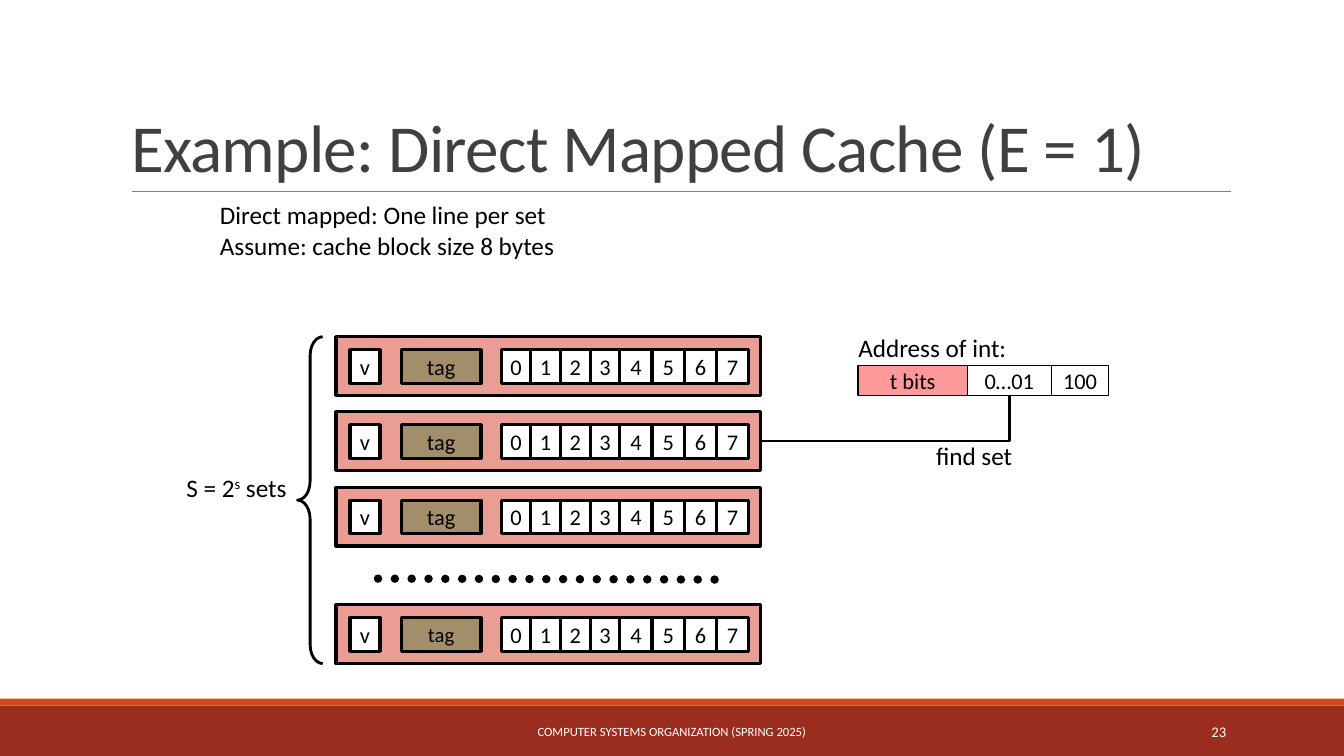
from dataclasses import dataclass

from lxml.etree import SubElement
from pptx import Presentation
from pptx.dml.color import RGBColor
from pptx.enum.dml import MSO_LINE
from pptx.enum.shapes import MSO_CONNECTOR, MSO_SHAPE
from pptx.enum.text import MSO_ANCHOR, MSO_AUTO_SIZE, PP_ALIGN
from pptx.oxml.ns import qn
from pptx.shapes.autoshape import Shape
from pptx.shapes.connector import Connector
from pptx.slide import Slide
from pptx.text.text import _Paragraph
from pptx.util import Pt

FONT = "Calibri"
COLOURS = {
    "black": "000000", "white": "FFFFFF", "title": "404040", "rule": "808080",
    "band": "9B2D1F", "stripe": "D34817", "line": "E99D93", "tag": "A28E6A",
    "address": "FF9999",
}
ROW_LEFT, ROW_WIDTH, ROW_HEIGHT = 240, 303, 42
ROW_TOPS = (240.5, 294, 348, 432)
CELL_INSET, CELL_HEIGHT = 9.25, 24
BYTES_LEFT, NARROW, WIDE = 358, 21.2, 23
ADDRESS_TOP, ADDRESS_HEIGHT = 261, 21.5


@dataclass(frozen=True)
class Cell:
    """A labelled box within a horizontal strip."""
    left: float
    width: float
    text: str
    fill: str = "white"


@dataclass(frozen=True)
class Label:
    """A free text label, holding paragraphs made of runs."""
    left: float
    top: float
    width: float
    height: float
    paragraphs: tuple[tuple[str, ...], ...]
    size: float = 18
    colour: str = "black"
    align: PP_ALIGN = PP_ALIGN.LEFT
    anchor: MSO_ANCHOR = MSO_ANCHOR.TOP
    wrap: bool = False


BYTES = tuple(
    Cell(BYTES_LEFT + min(i, 4) * NARROW + max(i - 4, 0) * WIDE,
         NARROW if i < 4 else WIDE, str(i))
    for i in range(8)
)
CACHE_CELLS = (Cell(250, 21.5, "v"), Cell(286.6, 57, "tag", "tag"), *BYTES)
ADDRESS_CELLS = (
    Cell(613, 78, "t bits", "address"),
    Cell(691, 60, "0…01"),
    Cell(751, 41, "100"),
)
LABELS = (
    Label(126, 333.5, 88.5, 29, (("S = 2", "s", " sets"),)),
    Label(150, 139, 260, 51, (("Direct mapped: One line per set",),
                              ("Assume: cache block size 8 bytes",))),
    Label(606, 234, 124, 29, (("Address of int:",),)),
    Label(661.5, 311, 70.5, 29, (("find set",),)),
    Label(290, 508.3, 379.5, 28.8, (("COMPUTER SYSTEMS ORGANIZATION (SPRING 2025)",),),
          9, "white", PP_ALIGN.CENTER, MSO_ANCHOR.MIDDLE, True),
    Label(780, 508.3, 103, 28.8, (("23",),),
          10.5, "white", PP_ALIGN.RIGHT, MSO_ANCHOR.MIDDLE, True),
)


def colour_of(name: str) -> RGBColor:
    """Look up a named colour."""
    return RGBColor.from_string(COLOURS[name])


def add_span(para: _Paragraph, text: str, size: float, colour: str = "black"):
    """Append a formatted run and return it."""
    span = para.add_run()
    span.text = text
    span.font.name = FONT
    span.font.size = Pt(size)
    span.font.color.rgb = colour_of(colour)
    return span


def add_box(page: Slide, left: float, top: float, width: float, height: float,
            fill: str | None, weight: float = 0,
            kind: MSO_SHAPE = MSO_SHAPE.RECTANGLE) -> Shape:
    """Draw a shape with an optional fill and black outline."""
    box = page.shapes.add_shape(kind, Pt(left), Pt(top), Pt(width), Pt(height))
    box.shadow.inherit = False
    if fill:
        box.fill.solid()
        box.fill.fore_color.rgb = colour_of(fill)
    else:
        box.fill.background()
    if weight:
        box.line.color.rgb = colour_of("black")
        box.line.width = Pt(weight)
    else:
        box.line.fill.background()
    return box


def add_cell(page: Slide, cell: Cell, top: float, height: float,
             weight: float, size: float = 16) -> None:
    """Draw a box with a centred label."""
    box = add_box(page, cell.left, top, cell.width, height, cell.fill, weight)
    frame = box.text_frame
    frame.word_wrap = False
    frame.vertical_anchor = MSO_ANCHOR.MIDDLE
    para = frame.paragraphs[0]
    para.alignment = PP_ALIGN.CENTER
    add_span(para, cell.text, size)


def add_label(page: Slide, label: Label) -> None:
    """Draw a label, raising any run that is the set exponent."""
    box = page.shapes.add_textbox(Pt(label.left), Pt(label.top),
                                  Pt(label.width), Pt(label.height))
    frame = box.text_frame
    frame.word_wrap = label.wrap
    frame.auto_size = MSO_AUTO_SIZE.NONE if label.wrap else MSO_AUTO_SIZE.SHAPE_TO_FIT_TEXT
    frame.vertical_anchor = label.anchor
    for index, texts in enumerate(label.paragraphs):
        para = frame.add_paragraph() if index else frame.paragraphs[0]
        para.alignment = label.align
        for text in texts:
            span = add_span(para, text, label.size, label.colour)
            if text == "s":
                span.font._element.set("baseline", "30000")


def add_line(page: Slide, start: tuple[float, float], end: tuple[float, float],
             colour: str, weight: float,
             kind: MSO_CONNECTOR = MSO_CONNECTOR.STRAIGHT) -> Connector:
    """Draw a connector without a shadow."""
    line = page.shapes.add_connector(kind, *(Pt(value) for value in start + end))
    line.line.color.rgb = colour_of(colour)
    line.line.width = Pt(weight)
    SubElement(line._element.spPr, qn("a:effectLst"))
    return line


def add_title(page: Slide) -> None:
    """Place and format the title."""
    title = page.shapes.title
    title.left, title.top, title.width, title.height = Pt(86.4), Pt(22.5), Pt(792), Pt(114.3)
    frame = title.text_frame
    frame.word_wrap = True
    frame.auto_size = MSO_AUTO_SIZE.NONE
    frame.vertical_anchor = MSO_ANCHOR.BOTTOM
    para = frame.paragraphs[0]
    para.alignment = PP_ALIGN.LEFT
    para.line_spacing = 0.85
    span = add_span(para, "Example: Direct Mapped Cache (E = 1)", 48, "title")
    span.font._element.set("spc", "-50")


def add_cache(page: Slide) -> None:
    """Draw the cache lines, their brace and the dots for omitted sets."""
    brace = add_box(page, 212.5, 240.5, 18, 233.5, None, 2, MSO_SHAPE.LEFT_BRACE)
    brace.adjustments[0] = 0.75
    dots = add_line(page, (270, 413.3), (516.2, 414), "black", 6)
    dots.line.dash_style = MSO_LINE.ROUND_DOT
    dots.line._ln.set("cap", "rnd")
    for top in ROW_TOPS:
        add_box(page, ROW_LEFT, top, ROW_WIDTH, ROW_HEIGHT, "line", 2.25)
        for cell in CACHE_CELLS:
            shrunk = cell.text == "tag" and top == ROW_TOPS[-1]
            add_cell(page, cell, top + CELL_INSET, CELL_HEIGHT, 2.25, 14.8 if shrunk else 16)


def add_address(page: Slide) -> None:
    """Draw the address fields and the bent line to the selected set."""
    for cell in ADDRESS_CELLS:
        add_cell(page, cell, ADDRESS_TOP, ADDRESS_HEIGHT, 1)
    start_x, start_y = 721, ADDRESS_TOP + ADDRESS_HEIGHT
    end_x, end_y = ROW_LEFT + ROW_WIDTH, ROW_TOPS[1] + ROW_HEIGHT / 2
    middle_x, middle_y = (start_x + end_x) / 2, (start_y + end_y) / 2
    half_run, half_drop = (start_x - end_x) / 2, (end_y - start_y) / 2
    bend = add_line(page, (middle_x - half_drop, middle_y - half_run),
                    (middle_x + half_drop, middle_y + half_run),
                    "black", 2, MSO_CONNECTOR.ELBOW)
    bend._element.spPr.find(qn("a:xfrm")).set("rot", "5400000")
    bend._element.spPr.find(qn("a:prstGeom")).set("prst", "bentConnector2")


def main() -> None:
    """Build and save the deck."""
    deck = Presentation()
    deck.slide_width, deck.slide_height = Pt(960), Pt(540)
    page = deck.slides.add_slide(deck.slide_layouts[5])
    add_box(page, 0, 504, 960, 36, "band")
    add_box(page, 0, 499, 960, 5, "stripe")
    add_line(page, (94.3, 136.8), (879, 136.8), "rule", 0.5)
    add_title(page)
    add_cache(page)
    add_address(page)
    for label in LABELS:
        add_label(page, label)
    deck.save("out.pptx")


if __name__ == "__main__":
    main()
